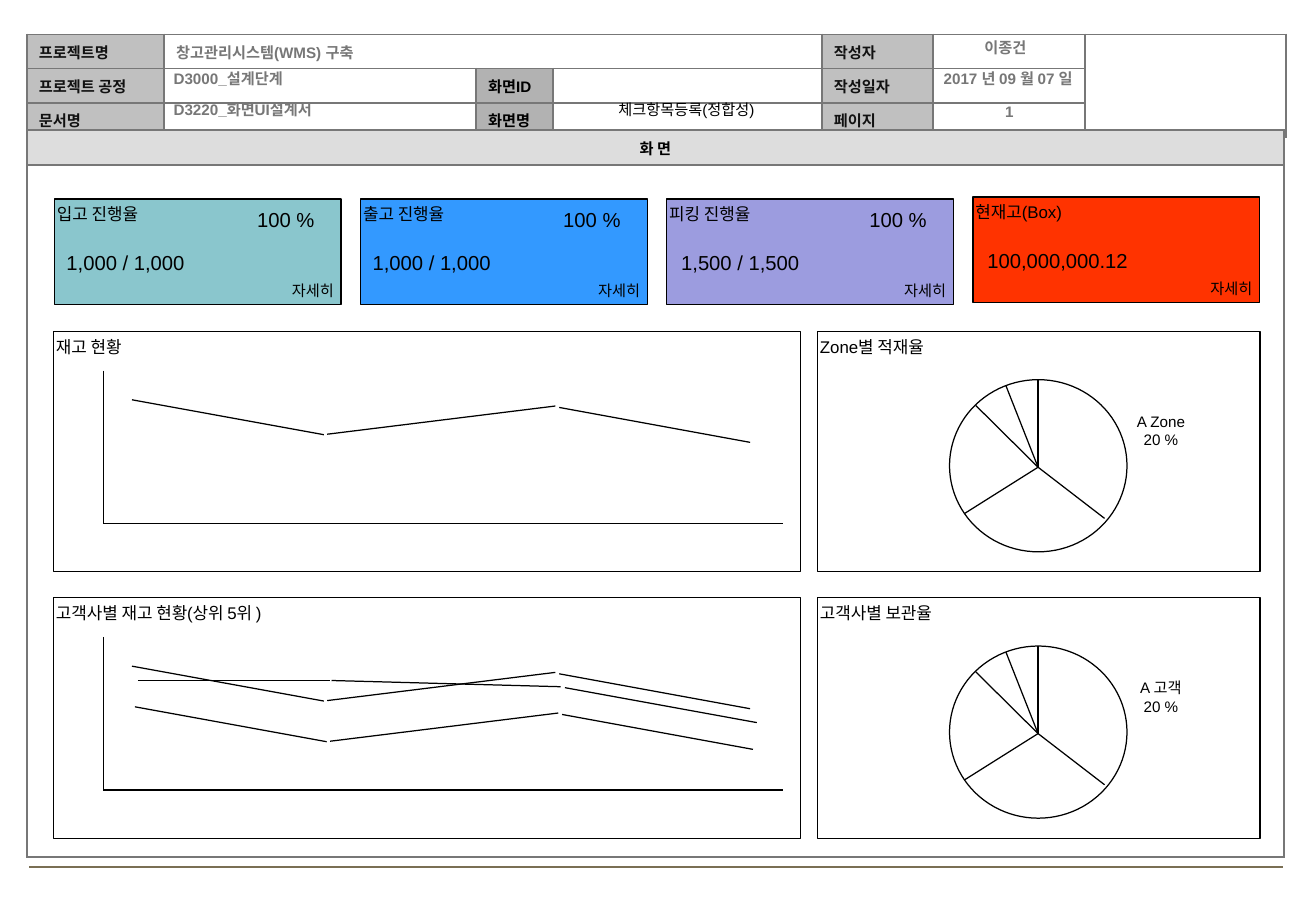
from lxml import etree
from pptx import Presentation
from pptx import util as u
from pptx.dml.color import RGBColor
from pptx.enum import shapes, text
from pptx.oxml import ns

BLACK = RGBColor(0x00, 0x00, 0x00)
WHITE = RGBColor(0xFF, 0xFF, 0xFF)
INK = RGBColor(0x11, 0x11, 0x11)
GRAY = RGBColor(0x77, 0x77, 0x77)
LABEL_FILL = RGBColor(0xC0, 0xC0, 0xC0)
SCREEN_FILL = RGBColor(0xB2, 0xB2, 0xB2)
TITLE_FILL = RGBColor(0xDD, 0xDD, 0xDD)
FOOTER = RGBColor(0x7A, 0x6F, 0x54)
TEAL = RGBColor(0x8A, 0xC6, 0xCD)
BLUE = RGBColor(0x33, 0x99, 0xFF)
VIOLET = RGBColor(0x9C, 0x9C, 0xDF)
RED = RGBColor(0xFF, 0x33, 0x00)

LATIN, KOREAN = "Arial", "Noto Sans CJK KR"
LEFT, CENTER = text.PP_ALIGN.LEFT, text.PP_ALIGN.CENTER

HEADER_COLS = [2.87, 6.52, 1.61, 5.62, 2.32, 3.18, 4.2]
HEADER_ROW, HEADER_ROWS = 0.64, 3
HEADER_CELLS = [  # row, column, words, colour, fill
    (0, 0, "프로젝트명", INK, LABEL_FILL),
    (0, 1, "창고관리시스템(WMS) 구축", GRAY, None),
    (0, 4, "작성자", INK, LABEL_FILL),
    (1, 0, "프로젝트 공정", INK, LABEL_FILL),
    (1, 2, "화면ID", BLACK, SCREEN_FILL),
    (1, 4, "작성일자", INK, LABEL_FILL),
    (2, 0, "문서명", INK, LABEL_FILL),
    (2, 2, "화면명", BLACK, SCREEN_FILL),
    (2, 4, "페이지", INK, LABEL_FILL),
]

CARDS = [  # title, fill, percent, amount, top, amount indent
    ("입고 진행율", TEAL, "100 %", "1,000 / 1,000", 4.16, 0),
    ("출고 진행율", BLUE, "100 %", "1,000 / 1,000", 4.16, 0),
    ("피킹 진행율", VIOLET, "100 %", "1,500 / 1,500", 4.16, 0.05),
    ("현재고(Box)", RED, None, "100,000,000.12", 4.12, 0.05),
]
CARD_LEFT, CARD_STEP = 1.14, 6.4

# Trend segments: x1, y1, x2, y2, with y measured from the panel top
WAVE = [(2.76, 1.43, 6.77, 2.16), (6.84, 2.15, 11.61, 1.56),
        (11.69, 1.59, 15.68, 2.32)]
LOW_WAVE = [(x1 + 0.06, y1 + 0.85, x2 + 0.06, y2 + 0.85)
            for x1, y1, x2, y2 in WAVE]
FLAT = [(2.88, 1.73, 6.9, 1.73), (6.93, 1.73, 11.72, 1.86),
        (11.81, 1.88, 15.82, 2.61)]
AXES = [(2.16, 0.82, 2.16, 4.02), (2.16, 4.02, 16.36, 4.02)]
PIE_CENTER = (21.7, 2.84)
PIE_EDGES = [(21.7, 1), (23.09, 3.91), (20.16, 3.81), (20.4, 1.55), (21.03, 1.14)]

PANEL_ROWS = [  # top, trend title, trend lines, pie title, pie label
    (6.93, "재고 현황", WAVE, "Zone별 적재율", "A Zone"),
    (12.5, "고객사별 재고 현황(상위 5위 )", WAVE + LOW_WAVE + FLAT,
     "고객사별 보관율", "A 고객"),
]


def write(paragraph, words, size, color=BLACK, bold=False, align=LEFT):
    paragraph.alignment = align
    run = paragraph.add_run()
    run.text = words
    font = run.font
    font.size, font.bold, font.name = u.Pt(size), bold, LATIN
    font.color.rgb = color
    etree.SubElement(font._element, ns.qn("a:ea"), typeface=KOREAN)


def add_label(slide, x, y, w, h, lines, size=9, color=BLACK, bold=False, align=CENTER):
    frame = slide.shapes.add_textbox(u.Cm(x), u.Cm(y), u.Cm(w), u.Cm(h)).text_frame
    frame.word_wrap = True
    for i, words in enumerate(lines):
        paragraph = frame.add_paragraph() if i else frame.paragraphs[0]
        write(paragraph, words, size, color, bold, align)


def add_outline(slide, kind, x, y, w, h, fill, title=None):
    box = slide.shapes.add_shape(kind, u.Cm(x), u.Cm(y), u.Cm(w), u.Cm(h))
    box.shadow.inherit = False
    box.fill.solid()
    box.fill.fore_color.rgb = fill
    box.line.color.rgb = BLACK
    box.line.width = u.Pt(0.75)
    if title:
        frame = box.text_frame
        frame.word_wrap = False
        frame.vertical_anchor = text.MSO_ANCHOR.TOP
        frame.margin_left = frame.margin_right = u.Cm(0.05)
        frame.margin_top = frame.margin_bottom = u.Cm(0.1)
        write(frame.paragraphs[0], title, 10)


def add_line(slide, x1, y1, x2, y2, color=BLACK, width=0.75):
    line = slide.shapes.add_connector(
        shapes.MSO_CONNECTOR.STRAIGHT, u.Cm(x1), u.Cm(y1), u.Cm(x2), u.Cm(y2))
    line.line.color.rgb = color
    line.line.width = u.Pt(width)
    etree.SubElement(line._element.spPr, ns.qn("a:effectLst"))


def add_grid(slide, x, y, cols, rows):
    """Table with gray borders, clear cells and small empty lines."""
    grid = slide.shapes.add_table(len(rows), len(cols), u.Cm(x), u.Cm(y),
                                  u.Cm(sum(cols)), u.Cm(sum(rows))).table
    grid.first_row = grid.horz_banding = False
    for column, width in zip(grid.columns, cols):
        column.width = u.Cm(width)
    for row, height in zip(grid.rows, rows):
        row.height = u.Cm(height)
    for cell in grid.iter_cells():
        cell.vertical_anchor = text.MSO_ANCHOR.MIDDLE
        properties = cell._tc.get_or_add_tcPr()
        for side in ("a:lnL", "a:lnR", "a:lnT", "a:lnB"):
            border = etree.SubElement(properties, ns.qn(side), w=str(u.Pt(1)))
            solid = etree.SubElement(border, ns.qn("a:solidFill"))
            etree.SubElement(solid, ns.qn("a:srgbClr"), val=str(GRAY))
        cell.fill.background()
        paragraph = cell.text_frame.paragraphs[0]._p
        etree.SubElement(paragraph, ns.qn("a:endParaRPr"), sz="900")
    return grid


def fill_cell(cell, words, color, fill=None, align=LEFT):
    if fill is not None:
        cell.fill.solid()
        cell.fill.fore_color.rgb = fill
    write(cell.text_frame.paragraphs[0], words, 9, color, True, align)


def add_header(slide):
    header = add_grid(slide, 0.56, 0.72, HEADER_COLS, [HEADER_ROW] * HEADER_ROWS)
    header.cell(0, 1).merge(header.cell(0, 3))
    header.cell(0, 6).merge(header.cell(2, 6))
    for row, column, words, color, fill in HEADER_CELLS:
        fill_cell(header.cell(row, column), words, color, fill)
    add_label(slide, 3.38, 1.32, 13.75, 0.64, ["D3000_설계단계"], 9, GRAY, True, LEFT)
    add_label(slide, 3.38, 1.98, 13.75, 0.64, ["D3220_화면UI설계서"], 9, GRAY, True, LEFT)


def add_body(slide):
    body = add_grid(slide, 0.56, 2.72, [26.28], [0.73, 14.47])
    title = body.cell(0, 0)
    title.margin_left = title.margin_right = u.Cm(0.05)
    title.margin_top = title.margin_bottom = 0
    fill_cell(title, "화 면", BLACK, TITLE_FILL, CENTER)


def add_card(slide, x, title, fill, percent, amount, y, indent):
    add_outline(slide, shapes.MSO_SHAPE.RECTANGLE, x, y, 5.99, 2.21, fill, title)
    add_label(slide, x + 4.6, y + 1.6, 1.6, 0.64, ["자세히"])
    add_label(slide, x + indent, y + 0.94, 6.1, 0.76, [amount], 12, align=LEFT)
    if percent:
        add_label(slide, x + 3.58, y + 0.05, 2.51, 0.76, [percent], 12)


def add_trend_panel(slide, top, title, trends):
    add_outline(slide, shapes.MSO_SHAPE.RECTANGLE, 1.12, top, 15.62, 5.03, WHITE, title)
    for x1, y1, x2, y2 in AXES + trends:
        add_line(slide, x1, top + y1, x2, top + y2)


def add_pie_panel(slide, top, title, label):
    add_outline(slide, shapes.MSO_SHAPE.RECTANGLE, 17.09, top, 9.25, 5.03, WHITE, title)
    add_outline(slide, shapes.MSO_SHAPE.OVAL, 19.85, top + 1.01, 3.71, 3.6, WHITE)
    center_x, center_y = PIE_CENTER
    for x, y in PIE_EDGES:
        add_line(slide, center_x, top + center_y, x, top + y)
    add_label(slide, 23.47, top + 1.57, 1.6, 1.02, [label, "20 %"])


def main():
    deck = Presentation()
    deck.slide_width, deck.slide_height = u.Cm(27.51), u.Cm(19.05)
    slide = deck.slides.add_slide(deck.slide_layouts[6])

    # Document frame
    add_line(slide, 0.61, 18.13, 26.82, 18.13, FOOTER, 1.75)
    add_header(slide)
    add_body(slide)

    # Header values
    add_label(slide, 19.51, 2.01, 3.18, 0.64, ["1"], 9, GRAY, True)
    add_label(slide, 11.58, 1.98, 5.54, 0.64, ["체크항목등록(정합성)"])
    add_label(slide, 19.08, 1.32, 3.99, 0.64, ["2017 년 09 월 07 일"], 9, GRAY, True)
    add_label(slide, 19.02, 0.67, 3.99, 0.64, ["이종건"], 9, GRAY, True)

    # Progress cards
    for i, card in enumerate(CARDS):
        add_card(slide, CARD_LEFT + i * CARD_STEP, *card)

    # Stock trends and storage shares
    for top, trend_title, trends, pie_title, pie_label in PANEL_ROWS:
        add_trend_panel(slide, top, trend_title, trends)
        add_pie_panel(slide, top, pie_title, pie_label)

    deck.save("out.pptx")


if __name__ == "__main__":
    main()
